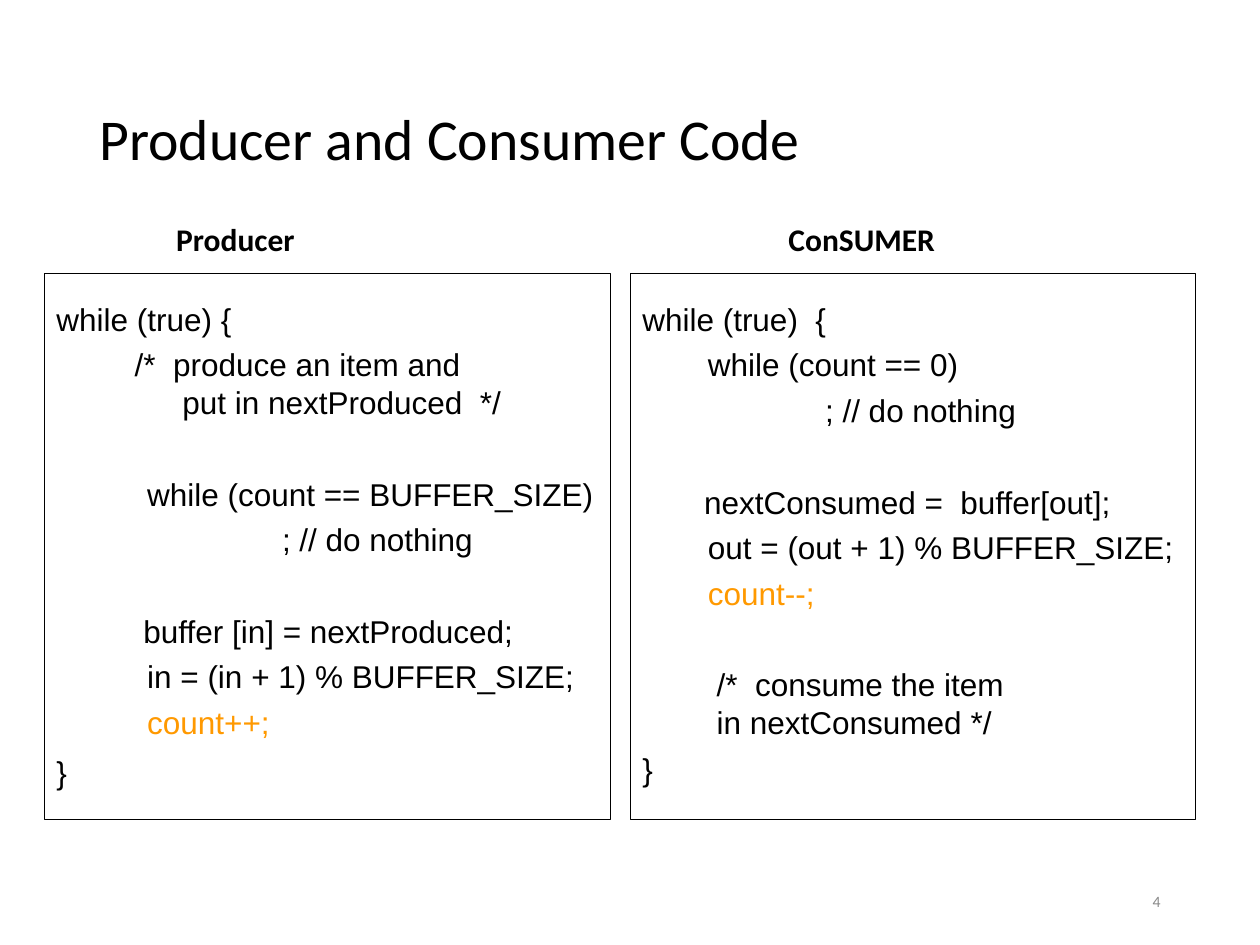
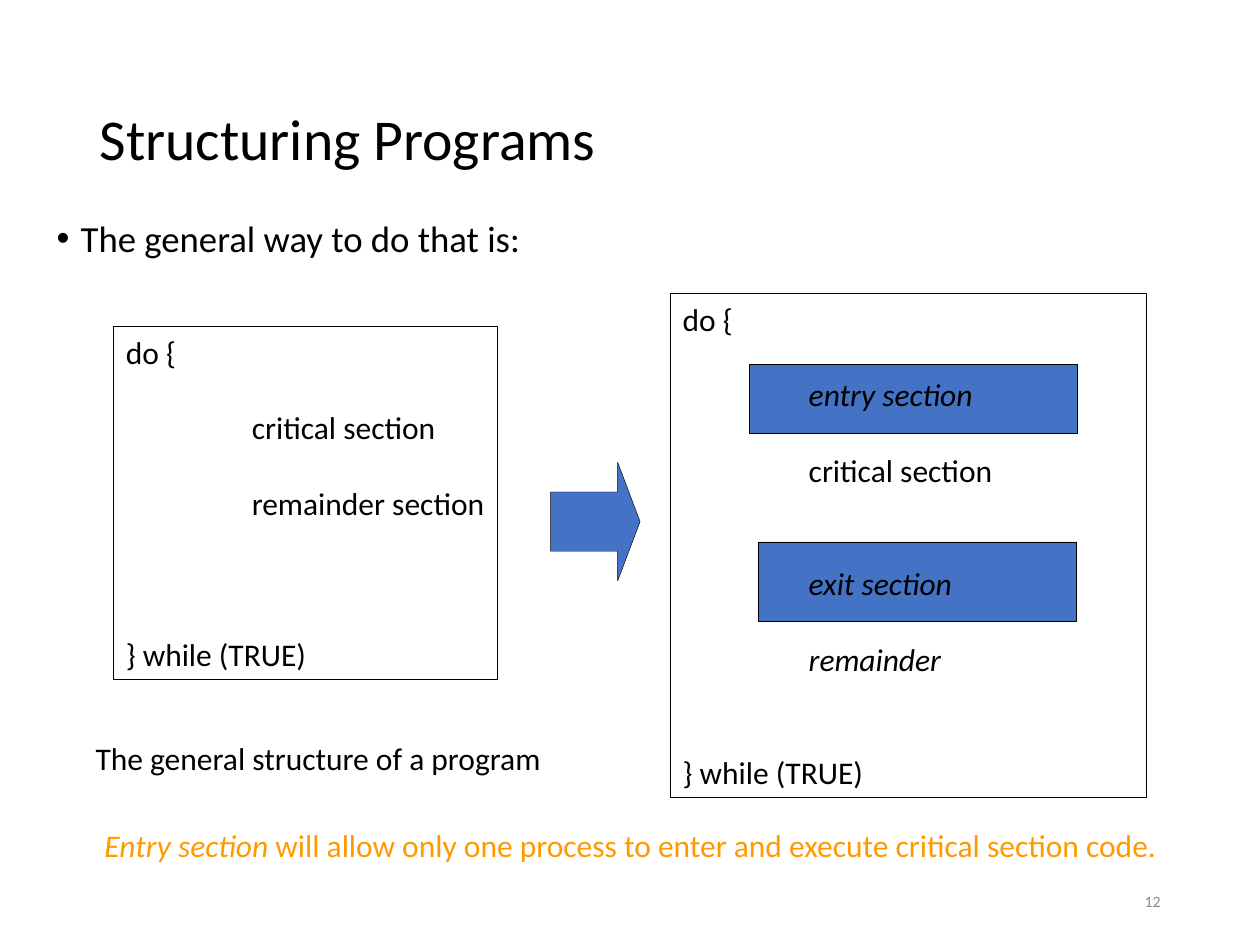
import pptx
import pptx.util
import pptx.dml.color
import pptx.enum.shapes
import pptx.enum.text

Inches, Pt = pptx.util.Inches, pptx.util.Pt
Form = pptx.enum.shapes.MSO_SHAPE
Align = pptx.enum.text.PP_ALIGN
Anchor = pptx.enum.text.MSO_ANCHOR
Fit = pptx.enum.text.MSO_AUTO_SIZE

BLACK, ORANGE, GREY, BLUE = "000000", "FF9900", "898989", "4472C4"
PLAIN = {"name": "Calibri", "size": Pt(18), "ink": BLACK}
CODE = {**PLAIN, "name": "Arial"}
LINE = 21.6
GAP = 4.5
BREAK = LINE + 2 * GAP


def ink(run, look):
    for key, value in look.items():
        if key == "ink":
            run.font.color.rgb = pptx.dml.color.RGBColor.from_string(value)
        else:
            setattr(run.font, key, value)


def write(shape, at, rows, look, pitch=None, align=Align.LEFT, anchor=Anchor.TOP):
    for key, value in zip(("left", "top", "width", "height"), at):
        setattr(shape, key, Inches(value))
    frame = shape.text_frame
    for key, value in {"word_wrap": True, "auto_size": Fit.NONE, "margin_left": Inches(0.1),
                       "margin_right": 0 if align == Align.LEFT else Inches(0.1),
                       "margin_top": Inches(0.05), "margin_bottom": Inches(0.05),
                       "vertical_anchor": anchor}.items():
        setattr(frame, key, value)
    for i, (text, left, gap, hang, extra) in enumerate(rows):
        para = frame.paragraphs[0] if i == 0 else frame.add_paragraph()
        para.text = text
        for key, value in {"alignment": align, "space_before": Pt(gap), "line_spacing": pitch}.items():
            setattr(para, key, value)
        props = para._p.get_or_add_pPr()
        props.set("marL", str(Inches(left + hang)))
        props.set("indent", str(Inches(-hang)))
        for run in para.runs:
            ink(run, {**look, **extra})


deck = pptx.Presentation()
deck.slide_width, deck.slide_height = Inches(10), Inches(7.5)
pages = []
for kind, title, number in ((5, "Producer and Consumer Code", "4"), (1, "Structuring Programs", "12")):
    page = deck.slides.add_slide(deck.slide_layouts[kind])
    write(page.shapes.title, (0.69, 0.4, 8.63, 1.45), [(title, 0, 0, 0, {})],
          {**PLAIN, "size": Pt(33)}, 0.9, anchor=Anchor.MIDDLE)
    foot = page.shapes.add_textbox(0, 0, 0, 0)
    write(foot, (7.06, 6.95, 2.25, 0.4), [(number, 0, 0, 0, {})],
          {**PLAIN, "size": Pt(9), "ink": GREY}, align=Align.RIGHT, anchor=Anchor.MIDDLE)
    pages.append(page)
first, second = pages

make = [
    ("while (true) {", 0, 0, 0, {}),
    ("/*  produce an item and\vput in nextProduced  */", 0.62, GAP, 0.38, {}),
    ("while (count == BUFFER_SIZE)", 0.72, BREAK, 0, {}),
    ("; // do nothing", 1.79, GAP, 0, {}),
    ("buffer [in] = nextProduced;", 0.69, BREAK, 0, {}),
    ("in = (in + 1) % BUFFER_SIZE;", 0.72, GAP, 0, {}),
    ("count++;", 0.72, GAP, 0, {"ink": ORANGE}),
    ("}", 0, 7, 0, {}),
]
take = [
    ("while (true)  {", 0, 0, 0, {}),
    ("while (count == 0)", 0.52, GAP, 0, {}),
    ("; // do nothing", 1.45, GAP, 0, {}),
    ("nextConsumed =  buffer[out];", 0.49, BREAK, 0, {}),
    ("out = (out + 1) % BUFFER_SIZE;", 0.52, GAP, 0, {}),
    ("count--;", 0.52, GAP, 0, {"ink": ORANGE}),
    ("/*  consume the item\vin nextConsumed */", 0.59, BREAK, 0, {}),
    ("}", 0, 5, 0, {}),
]
for left, wide, head, start, rows in ((0.35, 4.57, "Producer", 1.3, make),
                                      (5, 5, "ConSUMER", 6.16, take)):
    write(first.shapes.add_textbox(0, 0, 0, 0), (left, 2.33, wide, 4.41), rows, CODE, Pt(LINE))
    write(first.shapes.add_textbox(0, 0, 0, 0), (start, 1.7, 1.54, 0.4),
          [(head, 0, 0, 0, {})], {**PLAIN, "bold": True})

write(second.placeholders[1], (0.35, 1.7, 9.29, 0.63),
      [("The general way to do that is:", 0, 0, 0.19, {})], {**PLAIN, "size": Pt(21)}, 0.9)

slant = {"italic": True}
before = [
    ("do {", 0, 0, 0, {}),
    ("critical section", 1, LINE, 0, {}),
    ("remainder section", 1, LINE, 0, {}),
    ("} while (TRUE)", 0, 3 * LINE, 0, {}),
]
after = [
    ("do {", 0, 0, 0, {}),
    ("entry section", 1, LINE, 0, slant),
    ("critical section", 1, LINE, 0, {}),
    ("exit section", 1, 2 * LINE, 0, slant),
    ("remainder", 1, LINE, 0, slant),
    ("} while (TRUE)", 0, 2 * LINE, 0, {}),
]
for page, form, at, fill, rows in (
    (first, Form.RECTANGLE, (0.35, 2.17, 4.49, 4.33), None, []),
    (first, Form.RECTANGLE, (5, 2.17, 4.49, 4.33), None, []),
    (second, Form.RECTANGLE, (5.95, 2.89, 2.6, 0.55), BLUE, []),
    (second, Form.RECTANGLE, (6.02, 4.3, 2.52, 0.63), BLUE, []),
    (second, Form.RECTANGLE, (0.9, 2.59, 3.05, 2.8), None, before),
    (second, Form.RIGHT_ARROW, (4.37, 3.67, 0.71, 0.94), BLUE, []),
    (second, Form.RECTANGLE, (5.32, 2.33, 3.78, 4), None, after),
):
    shape = page.shapes.add_shape(form, *map(Inches, at))
    shape.shadow.inherit = False
    shape.line.width = Pt(0.25)
    shape.line.color.rgb = pptx.dml.color.RGBColor.from_string(BLACK)
    if fill:
        shape.fill.solid()
        shape.fill.fore_color.rgb = pptx.dml.color.RGBColor.from_string(fill)
    else:
        shape.fill.background()
    if form == Form.RIGHT_ARROW:
        shape.adjustments[1] = 0.25
    if rows:
        write(shape, at, rows, PLAIN, Pt(LINE))

write(second.shapes.add_textbox(0, 0, 0, 0), (0.66, 5.82, 3.75, 0.4),
      [("The general structure of a program", 0, 0, 0, {})], PLAIN)
note = second.shapes.add_textbox(0, 0, 0, 0)
write(note, (0.73, 6.51, 8.64, 0.4), [("Entry section", 0, 0, 0, slant)], {**PLAIN, "ink": ORANGE})
rest = note.text_frame.paragraphs[0].add_run()
rest.text = " will allow only one process to enter and execute critical section code."
ink(rest, {**PLAIN, "ink": ORANGE})

deck.save("out.pptx")
